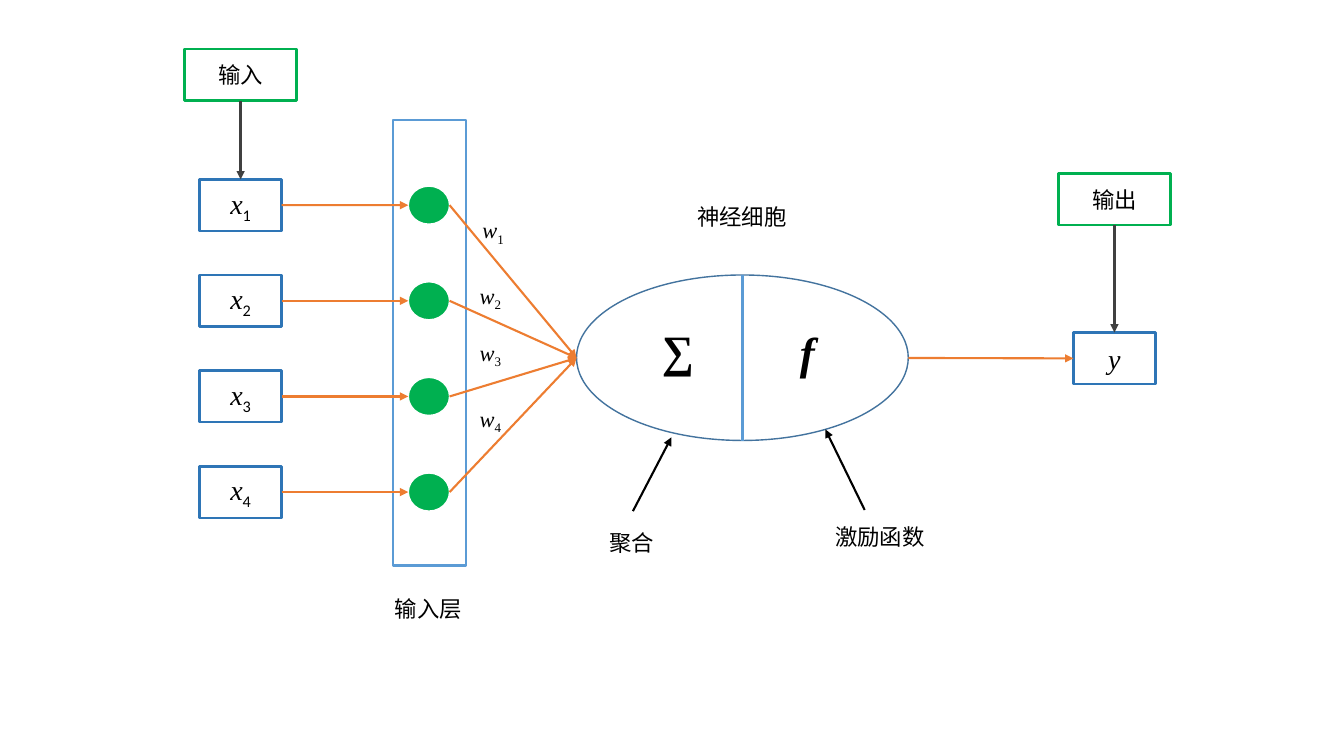
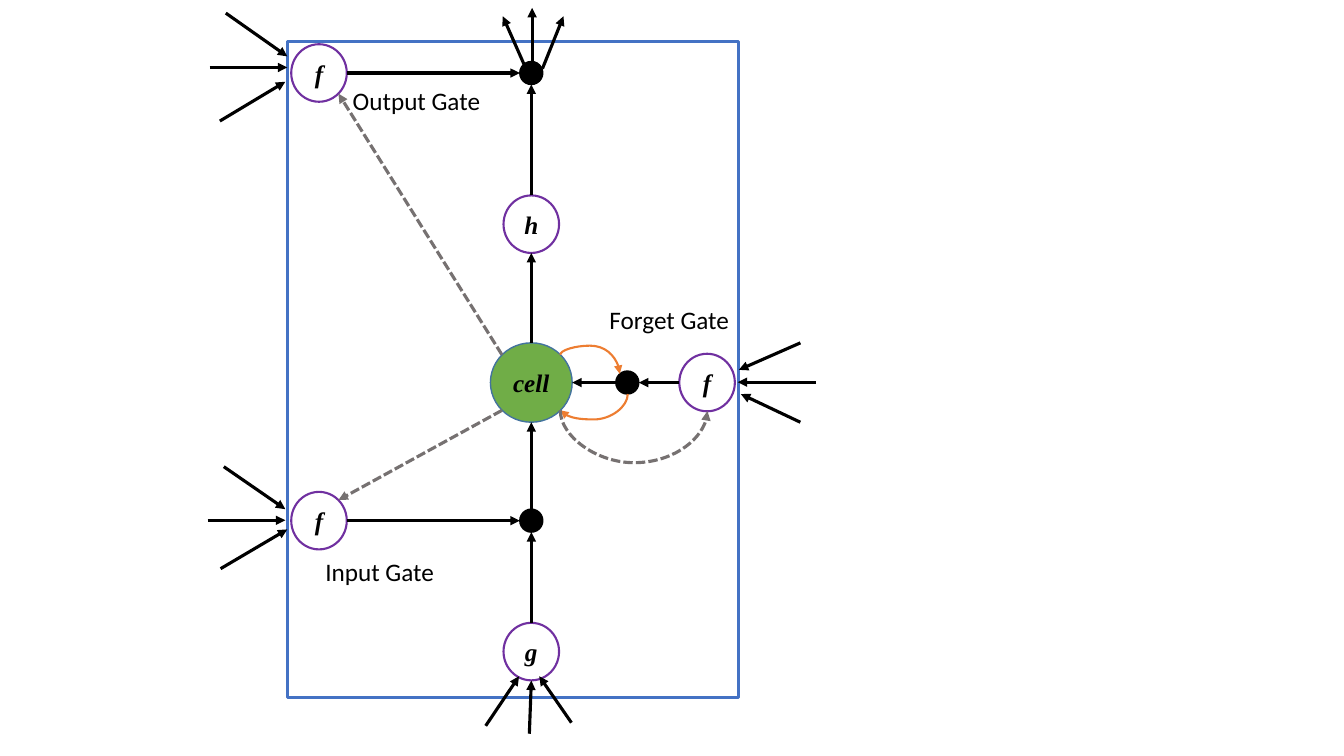
from dataclasses import dataclass

from lxml import etree
from pptx import Presentation
from pptx import util as u
from pptx.dml.color import RGBColor
from pptx.enum import dml, shapes, text
from pptx.oxml.ns import qn


@dataclass(frozen=True)
class Theme:
    # Colours
    white: str = "FFFFFF"
    black: str = "000000"
    charcoal: str = "404040"
    grey: str = "767171"
    green: str = "00B050"
    leaf: str = "70AD47"
    blue: str = "2E75B6"
    sky: str = "5B9BD5"
    steel: str = "43739E"
    royal: str = "4472C4"
    purple: str = "7030A0"
    orange: str = "ED7D31"
    # Type
    serif: str = "Times New Roman"
    sans: str = "Calibri"
    chinese: str = "Noto Sans CJK SC"
    label: int = 16
    gate: int = 18
    symbol: int = 20
    big: int = 32
    # Line widths
    hair: float = 1
    thin: float = 1.5
    medium: float = 1.8
    thick: float = 2.25


THEME = Theme()
RECT = shapes.MSO_SHAPE.RECTANGLE
OVAL = shapes.MSO_SHAPE.OVAL
NODE = shapes.MSO_SHAPE.FLOWCHART_CONNECTOR
TOP, LEFT, BOTTOM, RIGHT = range(4)


class Diagram:
    """Holds the theme and the current page; all lengths are centimetres."""

    def __init__(self, theme):
        self.theme = theme
        self.deck = Presentation()
        self.deck.slide_width, self.deck.slide_height = u.Cm(33.87), u.Cm(19.05)
        self.page = None

    def new_page(self):
        self.page = self.deck.slides.add_slide(self.deck.slide_layouts[6])

    def shape(self, kind, left, top, width, height, fill, ink, weight):
        box = self.page.shapes.add_shape(
            kind, u.Cm(left), u.Cm(top), u.Cm(width), u.Cm(height))
        box.shadow.inherit = False
        if fill:
            box.fill.solid()
            box.fill.fore_color.rgb = RGBColor.from_string(fill)
        else:
            box.fill.background()
        box.line.color.rgb = RGBColor.from_string(ink)
        box.line.width = u.Pt(weight)
        return box

    def centred(self, kind, x, y, width, height, fill, ink, weight):
        return self.shape(kind, x - width / 2, y - height / 2,
                          width, height, fill, ink, weight)

    def set_words(self, box, words, size, font, sub="", sub_font=None,
                  bold=False, italic=False):
        """Set one unwrapped line, with an optional subscript."""
        frame = box.text_frame
        frame.word_wrap = False
        frame.text = words
        para = frame.paragraphs[0]
        if sub:
            para.add_run().text = sub
        for index, span in enumerate(para.runs):
            span.font.size = u.Pt(size)
            span.font.bold = bold
            span.font.italic = italic and not index
            span.font.color.rgb = RGBColor.from_string(self.theme.black)
            span.font.name = sub_font or font if index else font
        # East Asian font and subscript
        for index, props in enumerate(list(box.element.iter(qn("a:rPr")))):
            etree.SubElement(props, qn("a:ea"), typeface=font)
            if index:
                props.set("baseline", "-25000")
        return para

    def inside(self, box, words, size, font, **style):
        para = self.set_words(box, words, size, font, **style)
        para.alignment = text.PP_ALIGN.CENTER
        box.text_frame.vertical_anchor = text.MSO_ANCHOR.MIDDLE

    def label(self, left, top, width, height, words, size, font, **style):
        box = self.page.shapes.add_textbox(
            u.Cm(left), u.Cm(top), u.Cm(width), u.Cm(height))
        self.set_words(box, words, size, font, **style)
        box.text_frame.auto_size = text.MSO_AUTO_SIZE.SHAPE_TO_FIT_TEXT

    def finish_line(self, link, ink, weight, head, dashed):
        link.line.color.rgb = RGBColor.from_string(ink)
        link.line.width = u.Pt(weight)
        if dashed:
            link.line.dash_style = dml.MSO_LINE.SQUARE_DOT
        props = link.element.spPr
        if head:
            etree.SubElement(props.find(qn("a:ln")), qn("a:tailEnd"), type="triangle")
        etree.SubElement(props, qn("a:effectLst"))

    def line(self, start, end, ink, weight, head=True, dashed=False):
        """Each end is a point (x, y) or a joint (box, side)."""
        joints = [hasattr(stop[0], "shape_id") for stop in (start, end)]
        points = [(0, 0) if joint else stop
                  for joint, stop in zip(joints, (start, end))]
        link = self.page.shapes.add_connector(
            shapes.MSO_CONNECTOR.STRAIGHT,
            *(u.Cm(value) for point in points for value in point))
        if joints[0]:
            link.begin_connect(*start)
        if joints[1]:
            link.end_connect(*end)
        self.finish_line(link, ink, weight, head, dashed)

    def curve(self, start, end, bend, ink, weight, dashed=False):
        """Leave and arrive vertically, running down overall; bend is the far y."""
        (x1, y1), (x2, y2) = start, end
        width, height = y2 - y1, abs(x2 - x1)  # before the quarter turn
        left, top = (x1 + x2 - width) / 2, (y1 + y2 - height) / 2
        link = self.page.shapes.add_connector(
            shapes.MSO_CONNECTOR.CURVE, u.Cm(left), u.Cm(top),
            u.Cm(left + width), u.Cm(top + height))
        props = link.element.spPr
        frame = props.find(qn("a:xfrm"))
        if x2 > x1:
            frame.set("rot", "16200000")
            frame.set("flipH", "1")
        else:
            frame.set("rot", "5400000")
        share = round((bend - y1) / width * 100000)
        etree.SubElement(props.find(qn("a:prstGeom")).find(qn("a:avLst")),
                         qn("a:gd"), name="adj1", fmla=f"val {share}")
        self.finish_line(link, ink, weight, True, dashed)


def neuron_page(art):
    t = art.theme
    art.new_page()
    middle = 9.02

    def symbol_box(left, top, name, sub=""):
        box = art.shape(RECT, left, top, 2.07, 1.3, t.white, t.blue, t.medium)
        art.inside(box, name, t.symbol, t.serif, sub=sub, sub_font=t.sans, italic=True)
        return box

    def caption_box(left, top, words):
        box = art.shape(RECT, left, top, 2.83, 1.3, t.white, t.green, t.medium)
        art.inside(box, words, t.label, t.chinese)
        return box

    # Inputs
    first, step = 4.52, 2.41
    inputs = [symbol_box(5.03, first + row * step, "x", str(row + 1))
              for row in range(4)]
    source = caption_box(4.65, 1.24, "输入")
    art.line((source, BOTTOM), (inputs[0], TOP), t.charcoal, t.medium)

    # Input layer and cell body
    art.shape(RECT, 9.91, 3.02, 1.83, 11.23, t.white, t.sky, t.medium)
    art.shape(OVAL, 14.53, 6.93, 8.36, 4.17, t.white, t.steel, t.hair)
    art.line((18.71, 6.93), (18.71, 11.1), t.sky, t.thick, head=False)
    for row, box in enumerate(inputs):
        y = first + 0.65 + row * step
        art.centred(OVAL, 10.81, y, 1.04, 0.96, t.green, t.white, t.hair)
        art.line((box, RIGHT), (10.29, y), t.orange, t.thin)
        art.line((11.33, y), (14.53, middle), t.orange, t.thin)

    # Weights
    weights = [(11.91, 5.33), (11.84, 6.98), (11.84, 8.41), (11.84, 10.08)]
    for number, (left, top) in enumerate(weights, 1):
        art.label(left, top, 1.09, 0.94, "w", t.label, t.serif,
                  sub=str(number), italic=True)

    # Symbols and captions
    art.label(16.43, 8, 1.32, 1.63, "∑", t.big, t.serif, bold=True)
    art.label(19.91, 8.05, 0.89, 1.63, "f", t.big, t.serif, bold=True, italic=True)
    for left, top, width, words in [
            (9.7, 14.86, 2.24, "输入层"), (17.32, 5, 2.79, "神经细胞"),
            (15.11, 13.21, 1.65, "聚合"), (20.8, 13.06, 2.79, "激励函数")]:
        art.label(left, top, width, 0.94, words, t.label, t.chinese)
    art.line((15.95, 12.88), (16.92, 11.02), t.black, t.thin)
    art.line((21.79, 12.85), (20.8, 10.82), t.black, t.thin)

    # Output
    result = symbol_box(27.05, 8.38, "y")
    target = caption_box(26.67, 4.37, "输出")
    art.line((22.89, middle), (result, LEFT), t.orange, t.thin)
    art.line((target, BOTTOM), (result, TOP), t.charcoal, t.medium)


def memory_page(art):
    t = art.theme
    art.new_page()
    axis, gate_x, forget_x, dot_x = 13.39, 8.04, 17.82, 15.81
    out_y, h_y, cell_y, in_y, g_y = 1.84, 5.65, 9.64, 13.12, 16.42
    ring_w, ring_h, cell_w, cell_h, dot = 1.4, 1.45, 2.06, 2, 0.58

    # Nodes
    def node(x, y, width, height, fill, ink, weight, name):
        ring = art.centred(NODE, x, y, width, height, fill, ink, weight)
        art.inside(ring, name, t.gate, t.serif, bold=True, italic=True)

    node(axis, cell_y, cell_w, cell_h, t.leaf, t.steel, t.hair, "cell")
    for x, y, name in [(axis, h_y, "h"), (axis, g_y, "g"), (gate_x, in_y, "f"),
                       (gate_x, out_y, "f"), (forget_x, cell_y, "f")]:
        node(x, y, ring_w, ring_h, t.white, t.purple, t.thin, name)
    art.shape(RECT, 7.24, 1.04, 11.38, 16.54, None, t.royal, t.thick)
    for x, y in [(dot_x, cell_y), (axis, out_y), (axis, in_y)]:
        art.centred(NODE, x, y, dot, dot, t.black, t.black, t.hair)

    # Flow up the axis: node below, half height, node above, half height
    for low, low_half, high, high_half in [
            (g_y, ring_h / 2, in_y, dot / 2), (in_y, dot / 2, cell_y, cell_h / 2),
            (cell_y, cell_h / 2, h_y, ring_h / 2), (h_y, ring_h / 2, out_y, dot / 2)]:
        art.line((axis, low - low_half), (axis, high + high_half), t.black, t.thick)

    # Flow from the gates
    for y in (out_y, in_y):
        art.line((gate_x + ring_w / 2, y), (axis - dot / 2, y), t.black, t.thick)
    art.line((forget_x - ring_w / 2, cell_y), (dot_x + dot / 2, cell_y),
             t.black, t.thick)
    art.line((dot_x - dot / 2, cell_y), (axis + cell_w / 2, cell_y), t.black, t.thick)

    # Fans of arrows in and out of the block
    for x1, y1, x2, y2 in [
            (5.69, 0.33, 7.24, 1.42), (5.28, 1.7, 7.24, 1.7), (5.54, 3.05, 7.19, 2.06),
            (5.64, 11.76, 7.19, 12.83), (5.23, 13.11, 7.19, 13.11),
            (5.56, 14.33, 7.24, 13.34),
            (20.17, 8.64, 18.62, 9.32), (20.57, 9.63, 18.59, 9.63),
            (20.17, 10.64, 18.67, 9.93),
            (13.21, 1.63, 12.67, 0.41), (13.41, 1.6, 13.41, 0.2),
            (13.67, 1.73, 14.2, 0.41),
            (12.24, 18.29, 13.08, 17.04), (13.34, 18.49, 13.39, 17.15),
            (14.4, 18.21, 13.59, 17.04)]:
        art.line((x1, y1), (x2, y2), t.black, t.thick)

    # Feedback loops and peepholes
    art.curve((14.12, 8.94), (15.62, 9.42), 8.71, t.orange, t.thin)
    art.curve((15.82, 9.93), (14.12, 10.34), 10.57, t.orange, t.thin)
    art.curve((14.12, 10.34), (17.83, 10.36), 11.66, t.grey, t.thick, dashed=True)
    art.line((12.65, 8.94), (8.53, 2.36), t.grey, t.thick, dashed=True)
    art.line((12.65, 10.34), (8.53, 12.6), t.grey, t.thick, dashed=True)

    # Gate names
    for left, top, width, words in [
            (7.95, 13.89, 3.28, "Input Gate"), (8.64, 2.03, 3.76, "Output Gate"),
            (15.11, 7.54, 3.56, "Forget Gate")]:
        art.label(left, top, width, 1.02, words, t.gate, t.sans)


def main():
    art = Diagram(THEME)
    neuron_page(art)
    memory_page(art)
    art.deck.save("out.pptx")


if __name__ == "__main__":
    main()
